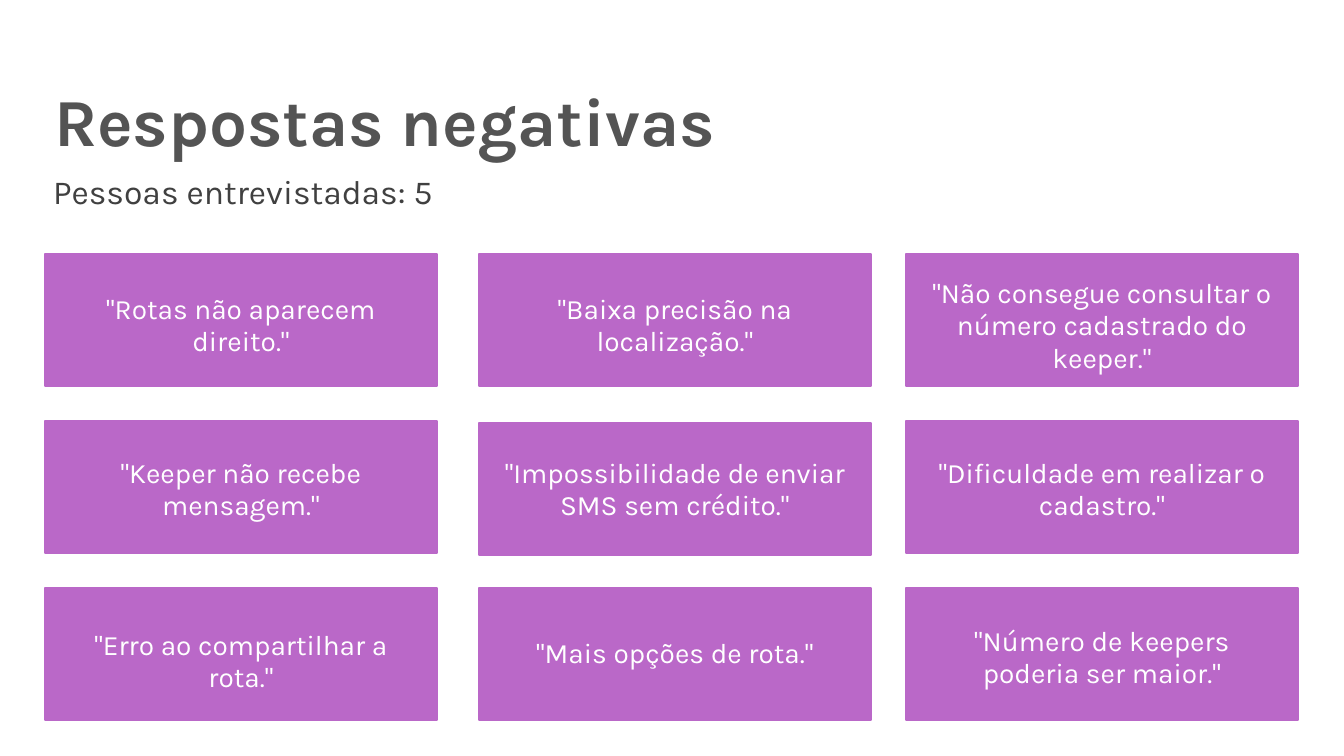
from pptx import Presentation
from pptx.dml.color import RGBColor
from pptx.enum.shapes import MSO_SHAPE as Shape
from pptx.enum.text import MSO_ANCHOR as Anchor, MSO_AUTO_SIZE as AutoSize, PP_ALIGN as Align
from pptx.util import Emu, Pt

PX = 914400 / 100.8
CARD_WIDTH, CARD_HEIGHT, CARD_PADDING, LINE_HEIGHT = 392, 132, 20, 33
COLUMNS = (45, 479, 906)
ROWS = (254, 421, 588)

# One row per line: quote, number of text lines, top of the text
QUOTES = (
    (('"Rotas não aparecem direito."', 2, 292),
     ('"Baixa precisão na localização."', 2, 292),
     ('"Não consegue consultar o número cadastrado do keeper."', 3, 276)),
    (('"Keeper não recebe mensagem."', 2, 456),
     ('"Impossibilidade de enviar SMS sem crédito."', 2, 456),
     ('"Dificuldade em realizar o cadastro."', 2, 456)),
    (('"Erro ao compartilhar a rota."', 2, 628),
     ('"Mais opções de rota."', 1, 637),
     ('"Número de keepers poderia ser maior."', 2, 624)),
)


def px(length):
    return Emu(round(length * PX))


def color(value):
    return RGBColor.from_string(value)


def write(shape, text, *, size, ink, bold=False, align=Align.LEFT,
          spacing=None, insets=(0, 0, 0, 0)):
    frame = shape.text_frame
    frame.word_wrap = True
    frame.auto_size = AutoSize.SHAPE_TO_FIT_TEXT
    frame.vertical_anchor = Anchor.TOP
    (frame.margin_left, frame.margin_top,
     frame.margin_right, frame.margin_bottom) = map(px, insets)
    paragraph = frame.paragraphs[0]
    paragraph.alignment = align
    paragraph.space_before = Pt(0)
    paragraph.line_spacing = spacing
    run = paragraph.add_run()
    run.text = text
    font = run.font
    font.name, font.size, font.bold = "Karla", Pt(size), bold
    font.color.rgb = color(ink)


class Deck:
    purple = "BA68C8"
    white = "FFFFFF"

    def __init__(self):
        self.presentation = Presentation()
        self.presentation.slide_width = px(1344)
        self.presentation.slide_height = px(756)
        layout = self.presentation.slide_layouts[0]
        self.slide = self.presentation.slides.add_slide(layout)

    def placeholder(self, index, text, left, top, width, height, **style):
        shape = self.slide.placeholders[index]
        shape.left, shape.top = px(left), px(top)
        shape.width, shape.height = px(width), px(height)
        write(shape, text, **style)

    def card(self, left, top):
        shape = self.slide.shapes.add_shape(
            Shape.RECTANGLE, px(left), px(top), px(CARD_WIDTH), px(CARD_HEIGHT))
        shape.shadow.inherit = False
        shape.fill.solid()
        shape.fill.fore_color.rgb = color(self.purple)
        shape.line.color.rgb = color(self.purple)
        shape.line.width = Pt(1)

    def quote(self, text, left, top, lines):
        box = self.slide.shapes.add_textbox(
            px(left), px(top), px(CARD_WIDTH - 2 * CARD_PADDING), px(lines * LINE_HEIGHT))
        write(box, text, size=20, ink=self.white, align=Align.CENTER, spacing=Pt(23.3))


def main():
    deck = Deck()

    # Heading
    deck.placeholder(0, "Respostas negativas", 44, 74, 695, 92,
                     size=48, ink="545454", bold=True, insets=(10, 5, 10, 5))
    deck.placeholder(1, "Pessoas entrevistadas: 5", 45, 175, 579, 36,
                     size=24, ink="404040", spacing=Pt(26.1), insets=(8, 0, 0, 0))

    # Grid of quote cards
    for row_top, row in zip(ROWS, QUOTES):
        for left, (text, lines, text_top) in zip(COLUMNS, row):
            # The centre card sits slightly lower than its row
            is_centre = (left, row_top) == (COLUMNS[1], ROWS[1])
            deck.card(left, row_top + 2 * is_centre)
            deck.quote(text, left + CARD_PADDING, text_top, lines)

    deck.presentation.save("out.pptx")


if __name__ == "__main__":
    main()
